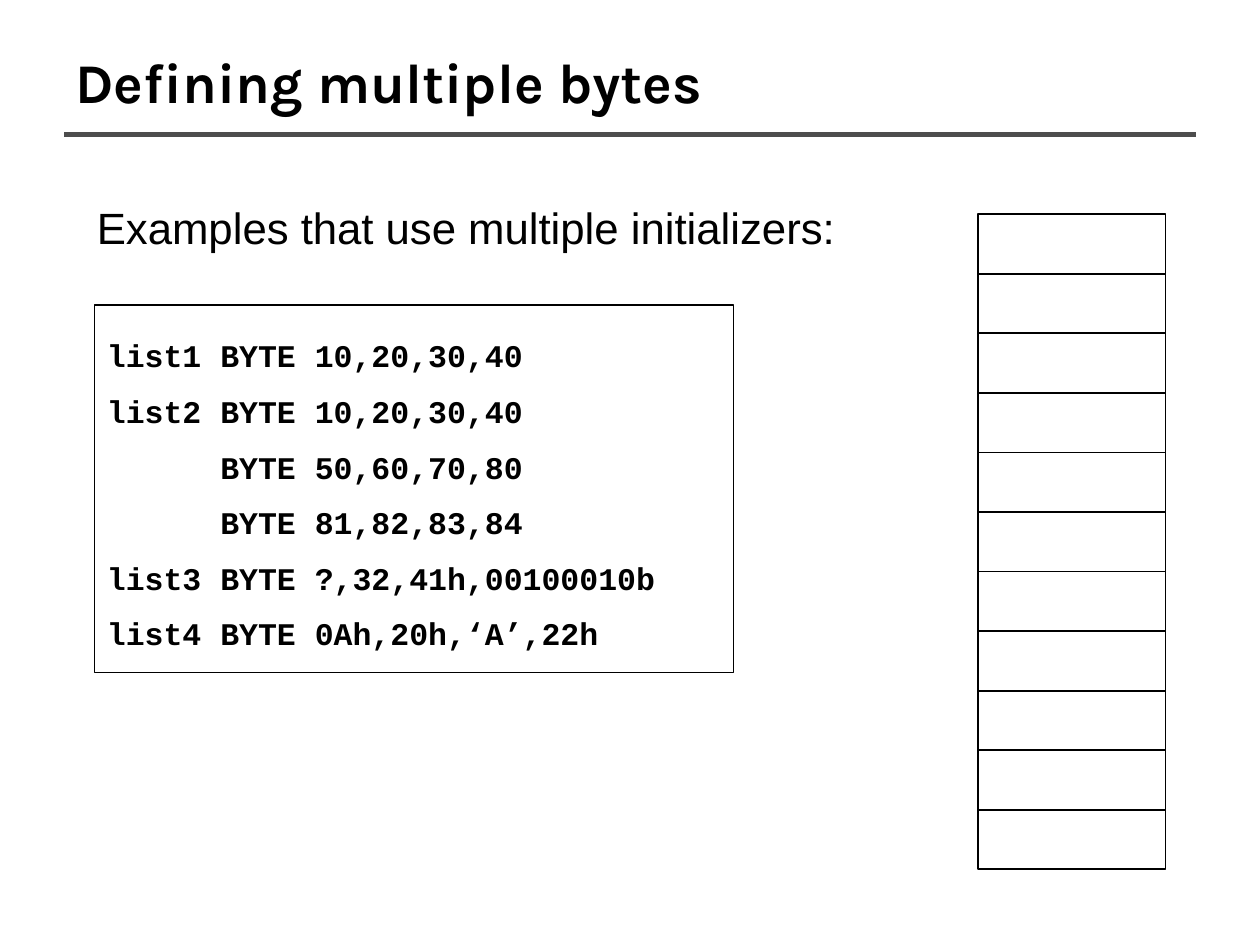
from collections import namedtuple

from lxml.etree import SubElement
from pptx import Presentation
from pptx.dml.color import RGBColor
from pptx.enum.shapes import MSO_CONNECTOR, MSO_SHAPE
from pptx.enum.text import MSO_ANCHOR, PP_ALIGN
from pptx.oxml.ns import qn
from pptx.util import Inches, Pt

BLACK = RGBColor(0x00, 0x00, 0x00)
GRAY = RGBColor(0x4D, 0x4D, 0x4D)
PAGE_WIDTH, PAGE_HEIGHT = Inches(10), Inches(7.5)
Box = namedtuple("Box", "left top width height")

CODE_LINES = [
    ("list1", "BYTE 10,20,30,40"),
    ("list2", "BYTE 10,20,30,40"),
    ("", "BYTE 50,60,70,80"),
    ("", "BYTE 81,82,83,84"),
    ("list3", "BYTE ?,32,41h,00100010b"),
    ("list4", "BYTE 0Ah,20h,‘A’,22h"),
]


def share(left, top, width, height):
    """Return a box given as percentages of the slide's size."""
    return Box(
        int(PAGE_WIDTH * left / 100),
        int(PAGE_HEIGHT * top / 100),
        int(PAGE_WIDTH * width / 100),
        int(PAGE_HEIGHT * height / 100),
    )


def style_font(para, name, size, bold=False):
    """Set the font of a whole paragraph."""
    para.font.name = name
    para.font.size = Pt(size)
    para.font.bold = bold
    para.font.color.rgb = BLACK


def add_text(page, box, text, name, size, bold=False):
    """Place one wrapped line of text, centred vertically, and return its frame."""
    frame = page.shapes.add_textbox(*box).text_frame
    frame.word_wrap = True
    frame.vertical_anchor = MSO_ANCHOR.MIDDLE
    frame.paragraphs[0].text = text
    style_font(frame.paragraphs[0], name, size, bold)
    return frame


def add_outline(page, box, weight):
    """Place an unfilled rectangle with a black outline."""
    shape = page.shapes.add_shape(MSO_SHAPE.RECTANGLE, *box)
    shape.shadow.inherit = False
    shape.fill.background()
    shape.line.color.rgb = BLACK
    shape.line.width = Pt(weight)
    return shape


def add_rule(page, box):
    """Draw the thick gray rule along the top of the box."""
    rule = page.shapes.add_connector(
        MSO_CONNECTOR.STRAIGHT, box.left, box.top, box.left + box.width, box.top
    )
    rule.line.color.rgb = GRAY
    rule.line.width = Pt(3)
    SubElement(rule.line._get_or_add_ln().getparent(), qn("a:effectLst"))


def add_intro(page, box):
    """Place the sentence that introduces the code."""
    frame = add_text(page, box, "Examples that use multiple initializers:", "Arial", 25)
    frame.margin_top = Inches(0.19)
    frame.margin_bottom = Inches(0.15)


def add_code(page, box):
    """Place the framed listing, indenting lines that have no label."""
    frame = add_outline(page, box, 0.75).text_frame
    frame.word_wrap = True
    frame.vertical_anchor = MSO_ANCHOR.TOP
    frame.margin_top = frame.margin_bottom = Inches(0.25)
    for index, (label, statement) in enumerate(CODE_LINES):
        para = frame.add_paragraph() if index else frame.paragraphs[0]
        para.text = f"{label} {statement}" if label else statement
        para.alignment = PP_ALIGN.LEFT
        para.space_before = Pt(10.2 if index else 0)
        style_font(para, "Courier New", 18, True)
        if not label:
            properties = para._p.get_or_add_pPr()
            properties.set("marL", str(Inches(0.9)))
            properties.set("indent", "0")


def add_memory(page, box, rows):
    """Stack equal empty memory cells from top to bottom of the box."""
    height = box.height // rows
    for row in range(rows):
        cell = Box(box.left, box.top + row * height, box.width, height)
        add_outline(page, cell, 1)


def main():
    """Build the slide and save the deck."""
    deck = Presentation()
    deck.slide_width, deck.slide_height = PAGE_WIDTH, PAGE_HEIGHT
    page = deck.slides.add_slide(deck.slide_layouts[6])
    add_rule(page, share(5.1, 14.27, 89.8, 0))
    add_text(page, share(5, 4, 90, 9.2), "Defining multiple bytes", "Karla", 32, True)
    add_code(page, share(7.5, 32.27, 50.7, 38.93))
    add_intro(page, share(6.7, 18.93, 80.8, 9.6))
    add_memory(page, share(77.6, 22.67, 14.9, 69.33), 11)
    deck.save("out.pptx")


if __name__ == "__main__":
    main()
